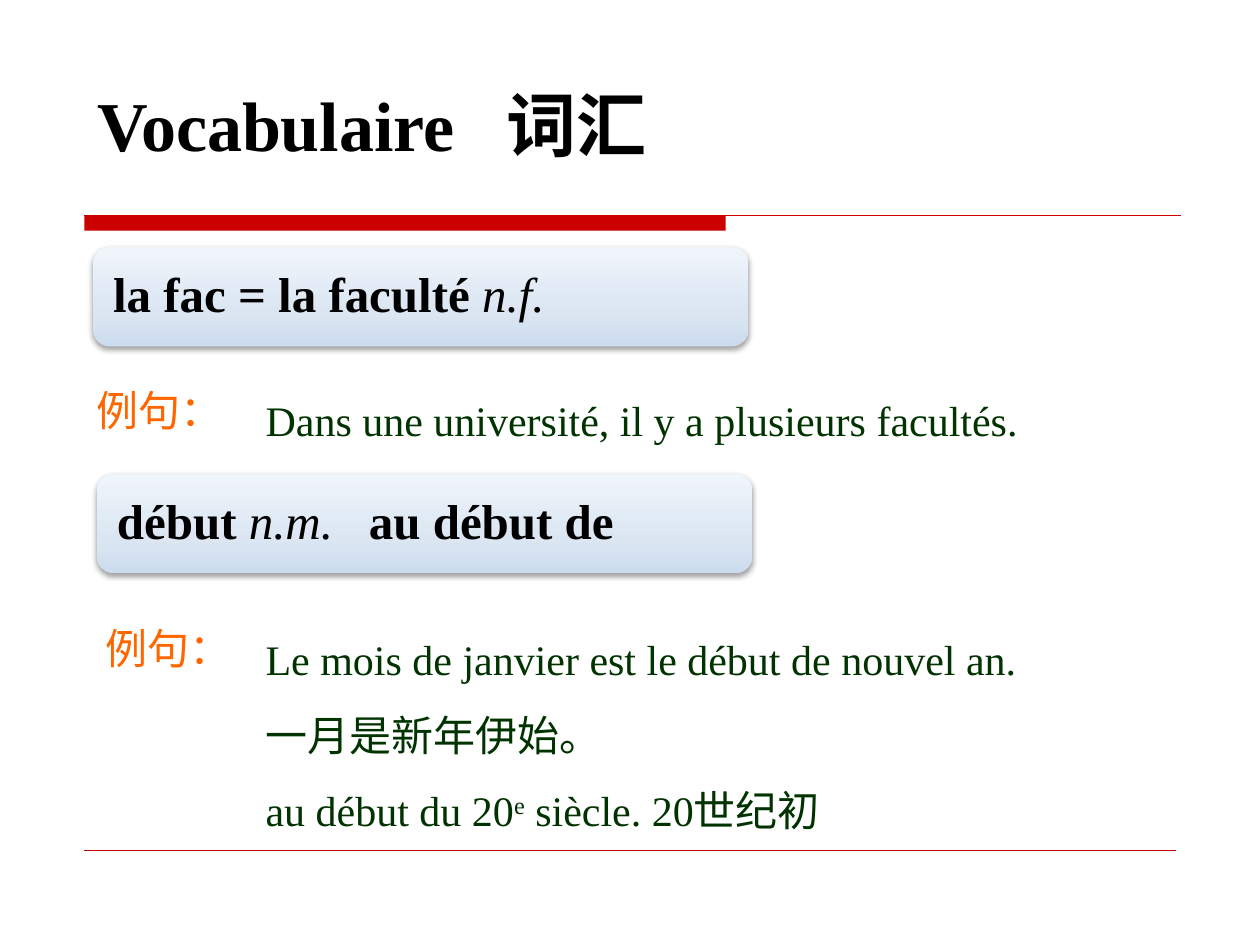
from lxml import etree
from pptx import Presentation
from pptx.dml.color import RGBColor
from pptx.enum.shapes import MSO_CONNECTOR, MSO_SHAPE
from pptx.enum.text import MSO_ANCHOR, MSO_AUTO_SIZE, PP_ALIGN
from pptx.oxml.ns import qn
from pptx.util import Inches, Pt

ROUNDED, RECTANGLE = MSO_SHAPE.ROUNDED_RECTANGLE, MSO_SHAPE.RECTANGLE
STRAIGHT = MSO_CONNECTOR.STRAIGHT
TOP, MIDDLE = MSO_ANCHOR.TOP, MSO_ANCHOR.MIDDLE
LEFT = PP_ALIGN.LEFT
FIXED = MSO_AUTO_SIZE.NONE

COLORS = {
    "rule": "CC0000",
    "ink": "000000",
    "label": "FF6600",
    "example": "003300",
    "card_bottom": "CCDCEE",
    "card_middle": "DBE6F2",
    "card_top": "F0F5FB",
}
LATIN, CHINESE = "Times New Roman", "Noto Sans CJK SC"
MARGIN, RIGHT = 0.67, 9.37
EXAMPLE_LEFT = 2.01
ENTRIES = [
    {
        "card": (0.74, 1.96, 5.2, 0.79),
        "term": [("la fac = la faculté ", "bold"), ("n.f.", "italic")],
        "label": (MARGIN, 3, 1.97, 0.5),
        "example": (EXAMPLE_LEFT, 2.88, RIGHT - EXAMPLE_LEFT, 0.63),
        "sentences": [[("Dans une université, il y a plusieurs facultés.", "")]],
    },
    {
        "card": (0.77, 3.76, 5.2, 0.79),
        "term": [("début ", "bold"), ("n.m.", "italic"), ("\tau début de", "bold")],
        "label": (0.74, 4.89, 1.97, 0.5),
        "example": (EXAMPLE_LEFT, 4.78, RIGHT - EXAMPLE_LEFT, 1.85),
        "sentences": [
            [("Le mois de janvier est le début de nouvel an.", "")],
            [("一月是新年伊始。", "")],
            [("au début du 20", ""), ("e", "super"), (" siècle. 20世纪初", "")],
        ],
    },
]


def rgb(name):
    return RGBColor.from_string(COLORS[name])


def add_child(parent, tag, **attributes):
    return etree.SubElement(parent, qn(tag), attributes)


def add_tab(paragraph, position):
    tabs = add_child(paragraph._p.get_or_add_pPr(), "a:tabLst")
    add_child(tabs, "a:tab", pos=str(Inches(position)), algn="l")


def write_runs(paragraph, pieces, size, color, latin=LATIN):
    paragraph.alignment = LEFT
    for text, style in pieces:
        run = paragraph.add_run()
        run.text = text
        font = run.font
        font.size, font.name = Pt(size), latin
        font.bold, font.italic = style == "bold", style == "italic"
        font.color.rgb = rgb(color)
        properties = run._r.get_or_add_rPr()
        add_child(properties, "a:ea", typeface=CHINESE)
        if style == "super":
            properties.set("baseline", "30000")


def add_text(slide, box, paragraphs, size, color, latin=LATIN, spacing=1.0):
    frame = slide.shapes.add_textbox(*map(Inches, box)).text_frame
    frame.word_wrap = True
    for index, pieces in enumerate(paragraphs):
        paragraph = frame.add_paragraph() if index else frame.paragraphs[0]
        paragraph.line_spacing = spacing
        write_runs(paragraph, pieces, size, color, latin)


def add_rule(slide, left, right, top, width):
    rule = slide.shapes.add_connector(STRAIGHT, *map(Inches, (left, top, right, top)))
    rule.line.color.rgb = rgb("rule")
    rule.line.width = Pt(width)
    add_child(rule._element.spPr, "a:effectLst")


def add_heading(slide, box):
    left, top, width, height = map(Inches, box)
    title = slide.shapes.title
    title.left, title.top, title.width, title.height = left, top, width, height
    frame = title.text_frame
    frame.auto_size = FIXED
    frame.vertical_anchor = TOP
    add_tab(frame.paragraphs[0], 3.25)
    write_runs(frame.paragraphs[0], [("Vocabulaire\t词汇", "bold")], 40, "ink")


def add_rules(slide, left, right):
    add_rule(slide, left, right, 1.71, 0.75)
    bar = slide.shapes.add_shape(RECTANGLE, *map(Inches, (left, 1.71, 5.09, 0.12)))
    bar.shadow.inherit = False
    bar.fill.solid()
    bar.fill.fore_color.rgb = rgb("rule")
    bar.line.fill.background()
    add_rule(slide, left, right - 0.04, 6.75, 0.25)


def shade_card(card):
    card.fill.gradient()
    card.fill.gradient_angle = 90
    stops = card._element.spPr.find(qn("a:gradFill")).find(qn("a:gsLst"))
    for stop in list(stops):
        stops.remove(stop)
    for position, name in ((0, "card_bottom"), (35, "card_middle"), (100, "card_top")):
        stop = add_child(stops, "a:gs", pos=str(position * 1000))
        add_child(stop, "a:srgbClr", val=COLORS[name])
    card.line.fill.background()
    card.shadow.inherit = False
    effects = card._element.spPr.find(qn("a:effectLst"))
    shadow = add_child(effects, "a:outerShdw", blurRad=str(Pt(3.1)),
                       dist=str(Pt(1.6)), dir="5400000", rotWithShape="0")
    add_child(add_child(shadow, "a:srgbClr", val=COLORS["ink"]), "a:alpha", val="38000")


def add_card(slide, box, term):
    card = slide.shapes.add_shape(ROUNDED, *map(Inches, box))
    shade_card(card)
    frame = card.text_frame
    frame.word_wrap = True
    frame.vertical_anchor = MIDDLE
    frame.margin_left = frame.margin_right = Inches(0.12)
    paragraph = frame.paragraphs[0]
    paragraph.line_spacing = 0.9
    add_tab(paragraph, 2)
    write_runs(paragraph, term, 28, "ink")


def add_entry(slide, entry):
    add_card(slide, entry["card"], entry["term"])
    add_text(slide, entry["label"], [[("例句：", "")]], 24, "label", CHINESE)
    add_text(slide, entry["example"], entry["sentences"], 24, "example", spacing=1.5)


def main():
    deck = Presentation()
    deck.slide_width, deck.slide_height = Inches(10), Inches(7.5)
    slide = deck.slides.add_slide(deck.slide_layouts[5])
    add_rules(slide, MARGIN, RIGHT)
    add_heading(slide, (MARGIN, 0.6, 7.8, 0.77))
    for entry in ENTRIES:
        add_entry(slide, entry)
    deck.save("out.pptx")


if __name__ == "__main__":
    main()
